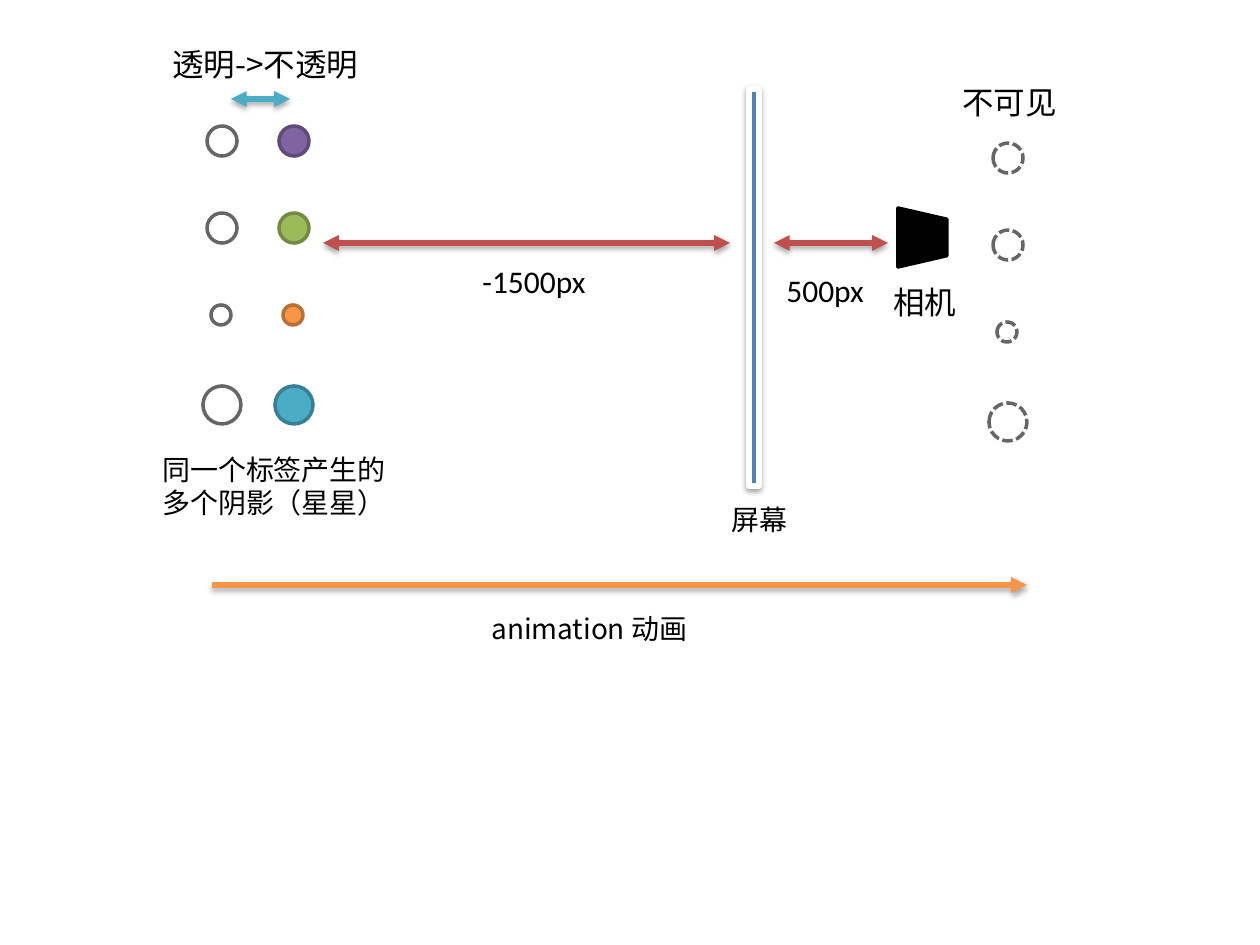
"""Build the slide that explains the star animation, the screen and the camera."""
from dataclasses import dataclass
from typing import Optional

import lxml.etree
import pptx
import pptx.dml.color
import pptx.enum.dml
import pptx.enum.shapes
import pptx.enum.text
import pptx.oxml
import pptx.oxml.ns
import pptx.util

RGBColor = pptx.dml.color.RGBColor
Shapes = pptx.enum.shapes.MSO_SHAPE
EMU_PER_PIXEL = 914400 / 126

BLACK = RGBColor(0x00, 0x00, 0x00)
WHITE = RGBColor(0xFF, 0xFF, 0xFF)
BLUE = RGBColor(0x4F, 0x81, 0xBD)
RED = RGBColor(0xC0, 0x50, 0x4D)
GREEN = RGBColor(0x9B, 0xBB, 0x59)
DARK_GREEN = RGBColor(0x73, 0x8A, 0x42)
PURPLE = RGBColor(0x80, 0x64, 0xA2)
DARK_PURPLE = RGBColor(0x5F, 0x4A, 0x78)
AQUA = RGBColor(0x4B, 0xAC, 0xC6)
DARK_AQUA = RGBColor(0x37, 0x7F, 0x92)
ORANGE = RGBColor(0xF7, 0x96, 0x46)
DARK_ORANGE = RGBColor(0xB7, 0x6F, 0x34)

LATIN_FONT = "Calibri"
CHINESE_FONT = "Noto Sans CJK SC"

TRANSPARENT_X, OPAQUE_X, INVISIBLE_X = 222, 294, 1008
INVISIBLE_DROP = 17


@dataclass(frozen=True)
class Star:
    center_y: int
    diameter: int
    fill: RGBColor
    outline: RGBColor
    shift: int = 0


@dataclass(frozen=True)
class Arrow:
    start_x: int
    end_x: int
    y: int
    color: RGBColor
    double: bool = True


@dataclass(frozen=True)
class Label:
    text: str
    left: int
    top: int
    width: int
    height: int
    size: int
    font: str = CHINESE_FONT


STARS = (
    Star(141, 30, PURPLE, DARK_PURPLE),
    Star(228, 30, GREEN, DARK_GREEN),
    Star(315, 20, ORANGE, DARK_ORANGE, -1),
    Star(405, 38, AQUA, DARK_AQUA),
)
ARROWS = (
    Arrow(774, 888, 243, RED),
    Arrow(323, 730, 243, RED),
    Arrow(231, 290, 99, AQUA),
    Arrow(212, 1027, 585, ORANGE, double=False),
)
LABELS = (
    Label("500px", 774, 265, 110, 50, 18, LATIN_FONT),
    Label("-1500px", 470, 256, 160, 50, 18, LATIN_FONT),
    Label("屏幕", 719, 496, 100, 47, 16),
    Label("同一个标签产生的多个阴影（星星）", 150, 446, 266, 81, 16),
    Label("透明->不透明", 160, 39, 237, 50, 18),
    Label("不可见", 950, 77, 147, 50, 18),
    Label("相机", 881, 277, 100, 50, 18),
    Label("animation 动画", 479, 605, 266, 47, 16),
)


def px(length: int) -> pptx.util.Emu:
    return pptx.util.Emu(round(length * EMU_PER_PIXEL))


def add_child(parent, tag: str, **attributes: str):
    return lxml.etree.SubElement(parent, pptx.oxml.ns.qn(tag), attributes)


def add_shadow(effects, opacity: int, distance: float) -> None:
    shadow = add_child(
        effects, "a:outerShdw", blurRad=str(pptx.util.Pt(3.1)),
        dist=str(pptx.util.Pt(distance)), dir="5400000", rotWithShape="0",
    )
    color = add_child(shadow, "a:srgbClr", val="000000")
    add_child(color, "a:alpha", val=str(opacity * 1000))


def add_shape(slide, kind, left: int, top: int, width: int, height: int,
              fill: Optional[RGBColor], outline: RGBColor, weight: int = 2):
    shape = slide.shapes.add_shape(kind, px(left), px(top), px(width), px(height))
    shape.shadow.inherit = False
    if fill is None:
        shape.fill.background()
    else:
        shape.fill.solid()
        shape.fill.fore_color.rgb = fill
    shape.line.color.rgb = outline
    shape.line.width = pptx.util.Pt(weight)
    return shape


def add_star(slide, star: Star, center_x: int, drop: int = 0, filled: bool = False):
    left = center_x + star.shift - star.diameter // 2
    top = star.center_y + drop - star.diameter // 2
    fill, outline = (star.fill, star.outline) if filled else (None, BLACK)
    shape = add_shape(slide, Shapes.OVAL, left, top, star.diameter, star.diameter,
                      fill, outline)
    if not filled:
        color = shape.line._ln.find(".//" + pptx.oxml.ns.qn("a:srgbClr"))
        add_child(color, "a:alpha", val="60000")
    return shape


def add_arrow(slide, arrow: Arrow) -> None:
    connector = slide.shapes.add_connector(
        pptx.enum.shapes.MSO_CONNECTOR.STRAIGHT,
        px(arrow.start_x), px(arrow.y), px(arrow.end_x), px(arrow.y),
    )
    connector.line.color.rgb = arrow.color
    connector.line.width = pptx.util.Pt(3)
    line = connector.line._ln
    if arrow.double:
        add_child(line, "a:headEnd", type="triangle")
    add_child(line, "a:tailEnd", type="triangle")
    add_shadow(add_child(connector._element.spPr, "a:effectLst"), 35, 1.8)


def add_label(slide, label: Label) -> None:
    box = slide.shapes.add_textbox(
        px(label.left), px(label.top), px(label.width), px(label.height)
    )
    frame = box.text_frame
    frame.word_wrap = True
    frame.auto_size = pptx.enum.text.MSO_AUTO_SIZE.SHAPE_TO_FIT_TEXT
    paragraph = frame.paragraphs[0]
    paragraph.text = label.text
    paragraph.font.size = pptx.util.Pt(label.size)
    paragraph.font.name = label.font
    paragraph.font.color.rgb = BLACK
    defaults = paragraph._p.pPr.find(pptx.oxml.ns.qn("a:defRPr"))
    add_child(defaults, "a:ea", typeface=label.font)


def main() -> None:
    presentation = pptx.Presentation()
    presentation.slide_width = px(1260)
    presentation.slide_height = px(945)
    slide = presentation.slides.add_slide(presentation.slide_layouts[6])

    screen = add_shape(slide, Shapes.RECTANGLE, 749, 89, 10, 397, BLUE, WHITE, 3)
    effects = screen._element.spPr.find(pptx.oxml.ns.qn("a:effectLst"))
    add_shadow(effects, 38, 1.6)

    camera = add_shape(slide, Shapes.TRAPEZOID, 893, 213, 59, 49, BLACK, BLACK)
    camera.rotation = 90
    camera.adjustments[0] = 0.23

    for star in STARS:
        add_star(slide, star, OPAQUE_X, filled=True)
        add_star(slide, star, TRANSPARENT_X)
        invisible = add_star(slide, star, INVISIBLE_X, INVISIBLE_DROP)
        invisible.line.dash_style = pptx.enum.dml.MSO_LINE.SQUARE_DOT
    for arrow in ARROWS:
        add_arrow(slide, arrow)
    for label in LABELS:
        add_label(slide, label)

    presentation.save("out.pptx")


if __name__ == "__main__":
    main()
